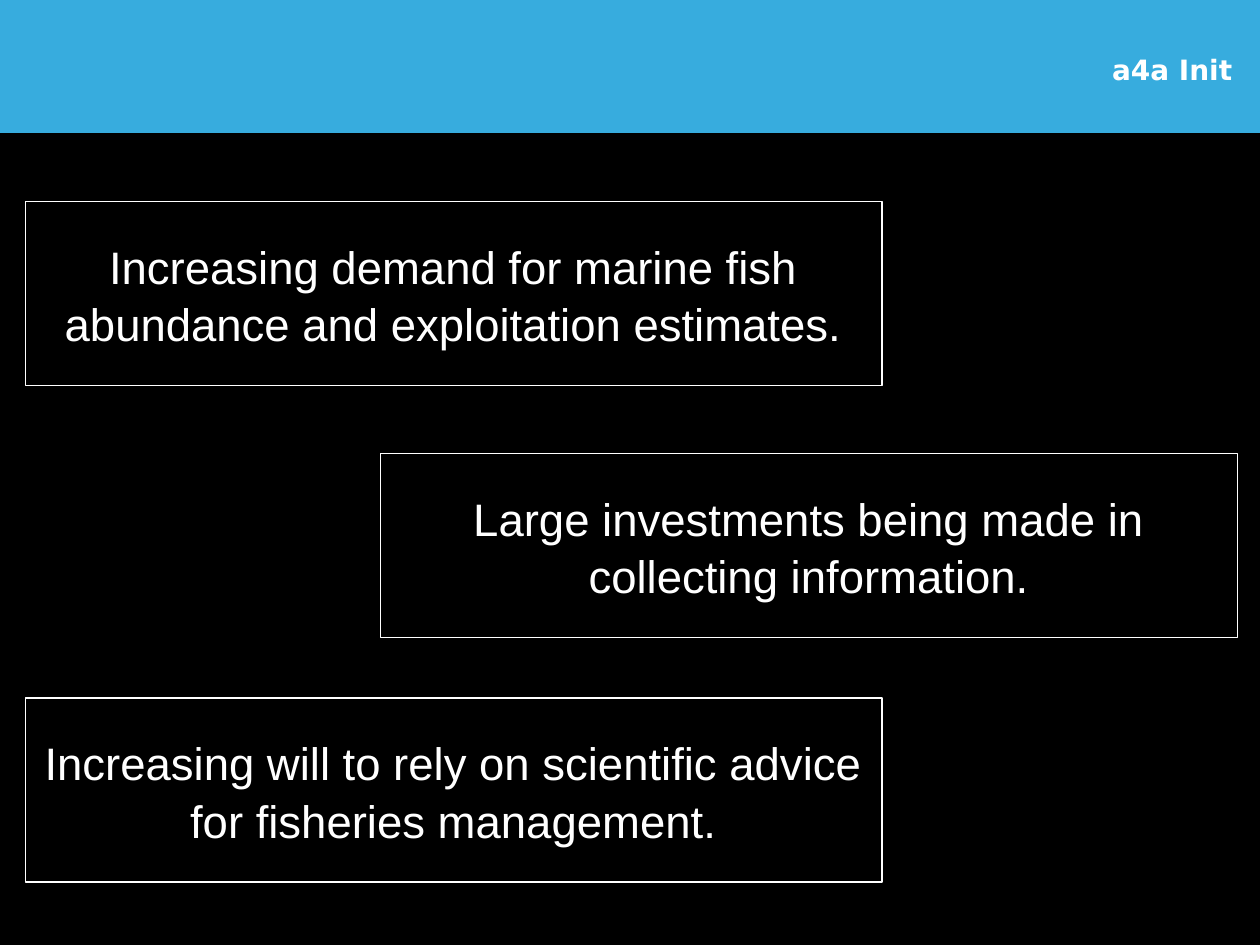
from dataclasses import dataclass

from pptx import Presentation
from pptx.dml.color import RGBColor
from pptx.enum.shapes import MSO_SHAPE
from pptx.enum.text import MSO_ANCHOR, PP_ALIGN
from pptx.util import Inches, Pt

RECTANGLE = MSO_SHAPE.RECTANGLE
MIDDLE = MSO_ANCHOR.MIDDLE
CENTER, RIGHT = PP_ALIGN.CENTER, PP_ALIGN.RIGHT


@dataclass(frozen=True)
class Theme:
    background: RGBColor = RGBColor.from_string("000000")
    banner: RGBColor = RGBColor.from_string("37ACDE")
    text: RGBColor = RGBColor.from_string("FFFFFF")
    title_font: str = "DejaVu Sans"
    body_font: str = "Arial"
    title_size: Pt = Pt(16)
    body_size: Pt = Pt(26)
    banner_line: Pt = Pt(0.75)
    hairline: Pt = Pt(0)
    line_spacing: float = 1.05


class PageBuilder:
    def __init__(self, page, theme):
        self.page = page
        self.theme = theme
        fill = page.background.fill
        fill.solid()
        fill.fore_color.rgb = theme.background

    def set_text(self, shape, text, alignment, **font_format):
        frame = shape.text_frame
        frame.word_wrap = True
        frame.vertical_anchor = MIDDLE
        para = frame.paragraphs[0]
        para.alignment = alignment
        span = para.add_run()
        span.text = text
        span.font.color.rgb = self.theme.text
        for name, value in font_format.items():
            setattr(span.font, name, value)
        return para

    def rectangle(self, left, top, width, height, fill, line, line_width):
        box = self.page.shapes.add_shape(
            RECTANGLE, *map(Inches, (left, top, width, height)))
        box.shadow.inherit = False
        box.fill.solid()
        box.fill.fore_color.rgb = fill
        box.line.color.rgb = line
        box.line.width = line_width
        return box

    def banner(self, width, height):
        """Draw the top band behind the title."""
        theme = self.theme
        band = self.rectangle(0, 0, width, height, theme.banner,
                              theme.banner, theme.banner_line)
        self.page.shapes.title._element.addprevious(band._element)

    def title(self, text, left, top, width, height):
        theme = self.theme
        title = self.page.shapes.title
        place = {"left": left, "top": top, "width": width, "height": height}
        for name, value in place.items():
            setattr(title, name, Inches(value))
        self.set_text(title, text, RIGHT, name=theme.title_font,
                      size=theme.title_size, bold=True)

    def statement(self, text, left, top, width, height):
        theme = self.theme
        box = self.rectangle(left, top, width, height, theme.background,
                             theme.text, theme.hairline)
        para = self.set_text(box, text, CENTER, name=theme.body_font,
                             size=theme.body_size)
        para.line_spacing = theme.line_spacing


def main():
    deck = Presentation()
    deck.slide_width, deck.slide_height = Inches(10), Inches(7.5)
    page = deck.slides.add_slide(deck.slide_layouts[5])
    builder = PageBuilder(page, Theme())

    builder.title("a4a Init", 7.28, 0.2, 2.6, 0.7)
    builder.banner(10, 1.05)

    statements = [
        (0.2, 1.6, "Increasing demand for marine fish abundance "
                   "and exploitation estimates."),
        (3.02, 3.6, "Large investments being made in "
                    "collecting information."),
        (0.2, 5.54, "Increasing will to rely on scientific advice "
                    "for fisheries management."),
    ]
    for left, top, text in statements:
        builder.statement(text, left, top, 6.8, 1.46)

    deck.save("out.pptx")


if __name__ == "__main__":
    main()
